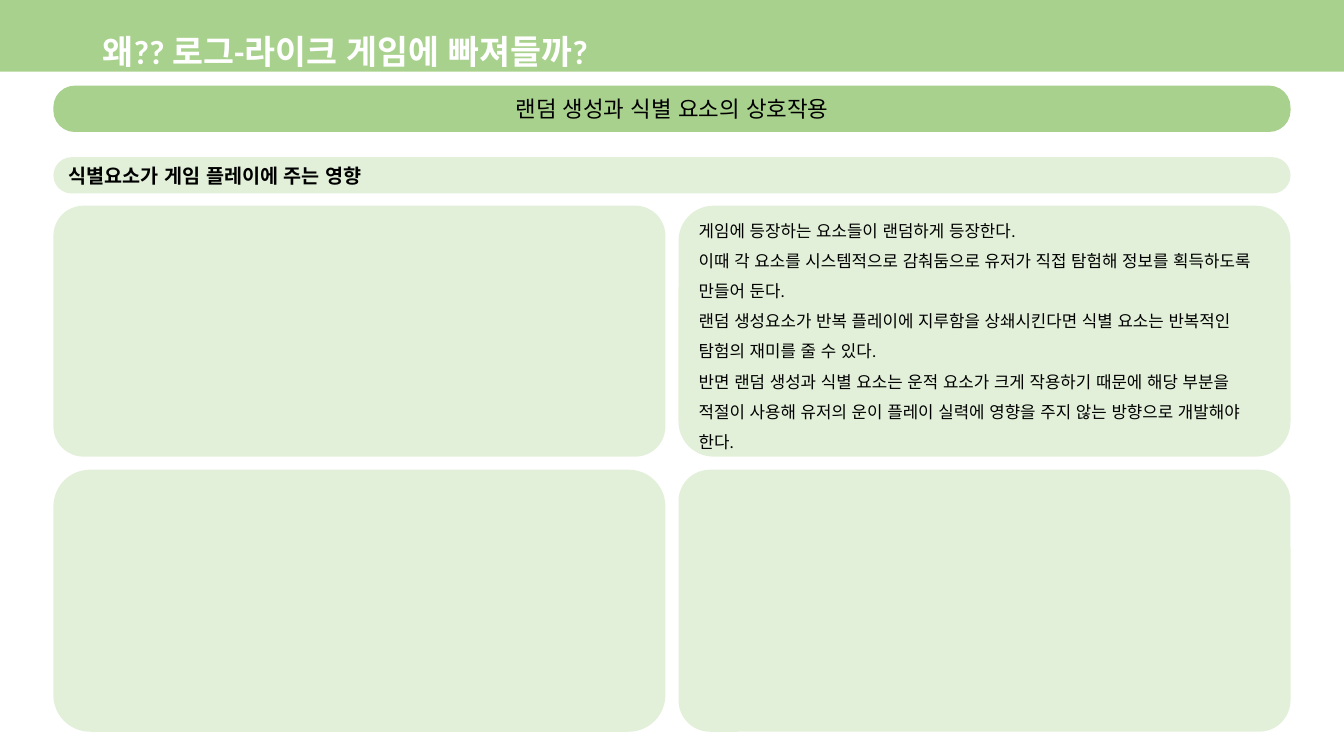
from dataclasses import dataclass

from pptx import Presentation
from pptx.dml.color import RGBColor
from pptx.enum.lang import MSO_LANGUAGE_ID
from pptx.enum.shapes import MSO_SHAPE
from pptx.enum.text import MSO_ANCHOR, PP_ALIGN
from pptx.util import Inches, Pt

GREEN = RGBColor(0xA9, 0xD1, 0x8E)
PALE = RGBColor(0xE2, 0xF0, 0xD9)
WHITE = RGBColor(0xFF, 0xFF, 0xFF)
BLACK = RGBColor(0, 0, 0)
FONT = "Calibri"

# Grid in inches: two columns, and rows as (top, height)
SLIDE_W, SLIDE_H = 13.33, 7.5
MARGIN, COL_W, GUTTER = 0.53, 6.07, 0.13
ROWS = {
    "topic": (0.85, 0.46),
    "heading": (1.56, 0.36),
    "upper": (2.04, 2.49),
    "lower": (4.66, 2.6),
}


@dataclass(frozen=True)
class TextStyle:
    size: float
    color: RGBColor = BLACK
    bold: bool = False
    align: PP_ALIGN = PP_ALIGN.LEFT
    spacing: float = 1.0


@dataclass(frozen=True)
class Panel:
    row: str
    col: int
    span: int
    corner: float
    fill: RGBColor = PALE
    lines: tuple[str, ...] = ()
    style: TextStyle = TextStyle(12, spacing=1.5)


TITLE = "왜?? 로그-라이크 게임에 빠져들까?"
TITLE_STYLE = TextStyle(24, WHITE, bold=True, spacing=1.5)
BODY = (
    "게임에 등장하는 요소들이 랜덤하게 등장한다.",
    "이때 각 요소를 시스템적으로 감춰둠으로 유저가 직접 탐험해 정보를 획득하도록 만들어 둔다.",
    "랜덤 생성요소가 반복 플레이에 지루함을 상쇄시킨다면 식별 요소는 반복적인 탐험의 재미를 줄 수 있다.",
    "반면 랜덤 생성과 식별 요소는 운적 요소가 크게 작용하기 때문에 해당 부분을 적절이 사용해 "
    "유저의 운이 플레이 실력에 영향을 주지 않는 방향으로 개발해야 한다.",
)
PANELS = (
    Panel("lower", 1, 1, 0.12),
    Panel("lower", 0, 1, 0.14),
    Panel("upper", 0, 1, 0.12),
    Panel("heading", 0, 2, 0.5, lines=("식별요소가 게임 플레이에 주는 영향",),
          style=TextStyle(14, bold=True)),
    Panel("upper", 1, 1, 0.14, lines=BODY),
    Panel("topic", 0, 2, 0.46, GREEN, ("랜덤 생성과 식별 요소의 상호작용",),
          TextStyle(16, align=PP_ALIGN.CENTER)),
)


def write(shape, lines: tuple[str, ...], style: TextStyle) -> None:
    tf = shape.text_frame
    tf.word_wrap = True
    tf.vertical_anchor = MSO_ANCHOR.MIDDLE
    for i, line in enumerate(lines):
        p = tf.add_paragraph() if i else tf.paragraphs[0]
        r = p.add_run()
        r.text = line
        r.font.language_id = MSO_LANGUAGE_ID.KOREAN
        p.alignment = style.align
        p.line_spacing = style.spacing
        p.font.name = FONT
        p.font.size = Pt(style.size)
        p.font.bold = style.bold
        p.font.color.rgb = style.color


def add_block(s, kind: MSO_SHAPE, box: tuple[float, ...], fill: RGBColor):
    sp = s.shapes.add_shape(kind, *map(Inches, box))
    sp.shadow.inherit = False
    sp.fill.solid()
    sp.fill.fore_color.rgb = fill
    sp.line.fill.background()
    return sp


def add_panel(s, panel: Panel) -> None:
    top, height = ROWS[panel.row]
    left = MARGIN + panel.col * (COL_W + GUTTER)
    width = panel.span * COL_W + (panel.span - 1) * GUTTER
    sp = add_block(s, MSO_SHAPE.ROUNDED_RECTANGLE, (left, top, width, height), panel.fill)
    sp.adjustments[0] = panel.corner
    write(sp, panel.lines, panel.style)


def main() -> None:
    prs = Presentation()
    prs.slide_width, prs.slide_height = Inches(SLIDE_W), Inches(SLIDE_H)
    s = prs.slides.add_slide(prs.slide_layouts[6])

    # Title band
    add_block(s, MSO_SHAPE.RECTANGLE, (0, 0, SLIDE_W, 0.71), GREEN)
    title = s.shapes.add_textbox(*map(Inches, (0.92, 0.15, 11.5, 0.52)))
    write(title, (TITLE,), TITLE_STYLE)

    # Topic, heading and content panels
    for panel in PANELS:
        add_panel(s, panel)

    prs.save("out.pptx")


if __name__ == "__main__":
    main()
